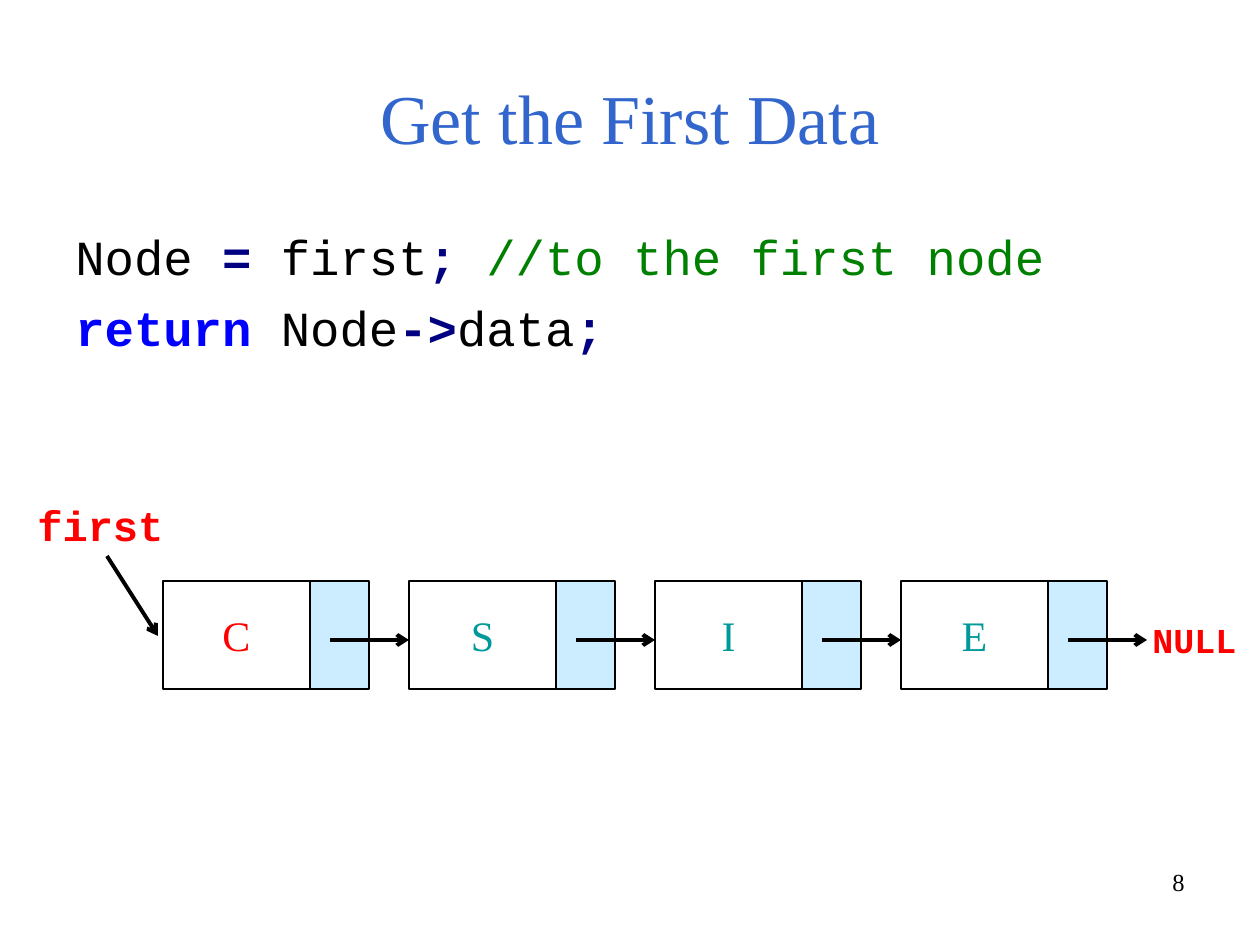
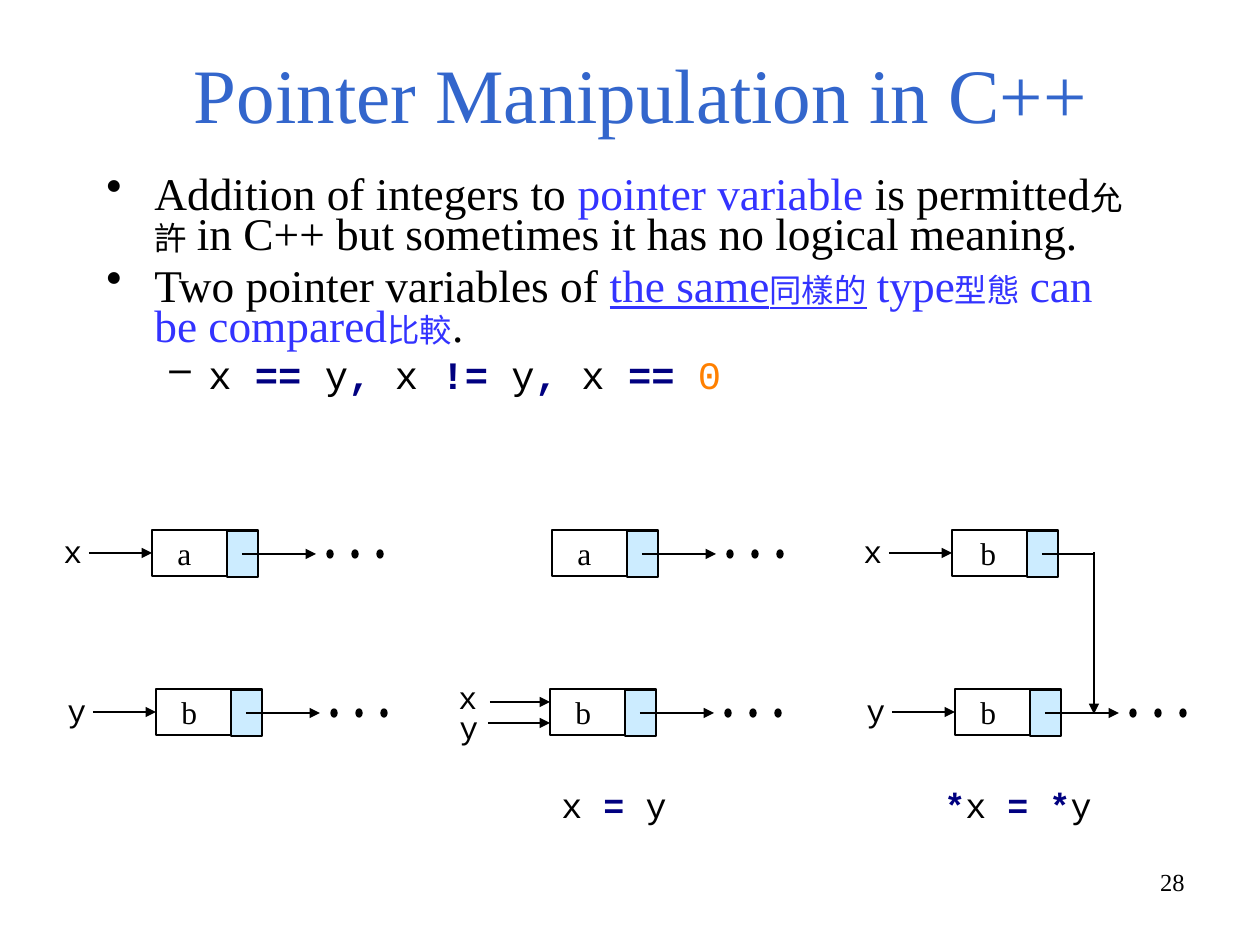
"""Build two slides on linked lists and pointers."""
from lxml import etree
from pptx import Presentation
from pptx.dml.color import RGBColor
from pptx.enum.shapes import MSO_CONNECTOR, MSO_SHAPE
from pptx.enum.text import MSO_ANCHOR, PP_ALIGN
from pptx.oxml.ns import qn
from pptx.util import Emu, Pt

BLACK = RGBColor(0, 0, 0)
WHITE = RGBColor(255, 255, 255)
TITLE = RGBColor(0x33, 0x66, 0xCC)
SKY = RGBColor(0xCC, 0xEC, 0xFF)
RED = RGBColor(255, 0, 0)
TEAL = RGBColor(0, 0x99, 0x99)
NAVY = RGBColor(0, 0, 0x80)
GREEN = RGBColor(0, 0x80, 0)
BLUE = RGBColor(0, 0, 255)
VIOLET = RGBColor(0x33, 0x33, 0xFF)
ORANGE = RGBColor(255, 0x80, 0)
SERIF, MONO = "Times New Roman", "Courier New"

OP = {"color": NAVY, "bold": True}
KEY = {"color": BLUE, "bold": True}
NOTE = {"color": GREEN}
NUM = {"color": ORANGE}
MARK = {"color": VIOLET}
HAN = {"size": 18.5}
HANMARK = {**MARK, **HAN}
UNDER = {"underline": True}

CODE = [
    ["Node ", ("=", OP), " first", ("; ", OP), ("//to the first node", NOTE)],
    [("return", KEY), " Node", ("->", OP), "data", (";", OP)],
]
NODES = [("C", RED), ("S", TEAL), ("I", TEAL), ("E", TEAL)]

POINTS = [
    ["Addition of integers to ", ("pointer variable", MARK), " is permitted",
     ("允許", HAN), " in C++ but sometimes it has no logical meaning."],
    ["Two pointer variables of ", ("the same", {**MARK, **UNDER}),
     ("同樣的", {**HANMARK, **UNDER}), (" type", MARK), ("型態", HANMARK),
     " ", ("can be compared", MARK), ("比較", HANMARK), "."],
]
TESTS = ["x ", ("==", OP), " y", (",", OP), " x ", ("!=", OP), " y",
         (",", OP), " x ", ("== ", OP), ("0", NUM)]
BULLET = {"mark": "•", "indent": (48, 48), "before": 7}
DASH = {"mark": "–", "indent": (102, 39), "before": 7,
        "font": MONO, "size": 22.2}

CELLS = [
    {"at": (152, 530), "data": "a", "name": "x"},
    {"at": (156, 689), "data": "b", "name": "y"},
    {"at": (552, 530), "data": "a"},
    {"at": (550, 689), "data": "b"},
    {"at": (952, 530), "data": "b", "name": "x", "next": False},
    {"at": (955, 689), "data": "b", "name": "y"},
]
SHARED = [("x", 446, 672, 490, 702), ("y", 447, 702, 488, 723)]
NOTES = [
    ((549, 777, 160, 55), ["x ", ("=", OP), " y"]),
    ((932, 777, 203, 55), [("*", OP), "x ", ("= *", OP), "y"]),
]


def px(num):
    return Emu(round(num * 914400 / 126))


def style(run, font=SERIF, size=18, color=BLACK, bold=False, underline=False):
    face = run.font
    face.name, face.size, face.bold = font, Pt(size), bold
    face.underline = underline
    face.color.rgb = color


def bullet(para, mark, indent):
    props = para._p.get_or_add_pPr()
    left, hang = indent
    props.set("marL", str(px(left)))
    props.set("indent", str(-px(hang)))
    tint = etree.SubElement(props, qn("a:buClr"))
    etree.SubElement(tint, qn("a:srgbClr")).set("val", str(BLACK))
    etree.SubElement(props, qn("a:buChar")).set("char", mark)


def write(frame, rows, align=PP_ALIGN.LEFT, anchor=MSO_ANCHOR.TOP, wrap=True,
          before=0, lead=None, marks=None, **look):
    """Fill a frame with rows of plain or styled runs."""
    frame.word_wrap, frame.vertical_anchor = wrap, anchor
    for i, row in enumerate(rows):
        para = frame.paragraphs[0] if i == 0 else frame.add_paragraph()
        para.alignment = align
        kind = dict(marks[i]) if marks else {}
        gap = kind.pop("before", before)
        if marks:
            bullet(para, kind.pop("mark"), kind.pop("indent"))
        para.space_before = Pt(gap if i else 0)
        if lead:
            para.line_spacing = lead
        for part in row:
            words, extra = (part, {}) if isinstance(part, str) else part
            run = para.add_run()
            run.text = words
            style(run, **{**look, **kind, **extra})


def text(slide, box, rows, **form):
    area = slide.shapes.add_textbox(*map(px, box))
    write(area.text_frame, rows, **form)


def shape(slide, kind, box, fill, width=0.75):
    item = slide.shapes.add_shape(kind, *map(px, box))
    item.shadow.inherit = False
    if fill is None:
        item.fill.background()
    else:
        item.fill.solid()
        item.fill.fore_color.rgb = fill
    item.line.color.rgb = BLACK
    item.line.width = Pt(width)
    return item


def line(slide, start, end, width=0.75, head="triangle"):
    link = slide.shapes.add_connector(
        MSO_CONNECTOR.STRAIGHT, *map(px, (*start, *end)))
    link.line.color.rgb = BLACK
    link.line.width = Pt(width)
    props = link._element.spPr
    if head:
        stroke = props.find(qn("a:ln"))
        etree.SubElement(stroke, qn("a:tailEnd")).set("type", head)
    etree.SubElement(props, qn("a:effectLst"))
    return link


def start(deck, title, box, size, anchor, page):
    slide = deck.slides.add_slide(deck.slide_layouts[6])
    text(slide, box, [[title]], size=size, color=TITLE,
         align=PP_ALIGN.CENTER, anchor=anchor)
    text(slide, (903, 861, 294, 66), [[page]], size=14, align=PP_ALIGN.RIGHT)
    return slide


def node(slide, left, data, color):
    top, wide, high = 581, 147, 108
    shape(slide, MSO_SHAPE.RECTANGLE, (left + wide, top, 59, high), SKY, 1)
    box = shape(slide, MSO_SHAPE.RECTANGLE, (left, top, wide, high), None, 1)
    write(box.text_frame, [[data]], size=24, color=color, wrap=False,
          align=PP_ALIGN.CENTER, anchor=MSO_ANCHOR.MIDDLE)
    line(slide, (left + 167, 640), (left + 246, 640), 2.25, "arrow")


def label(slide, name, left, top):
    text(slide, (left, top, 44, 50), [[name]], font=MONO)


def cell(slide, at, data, name=None, next=True):
    left, top = at
    box = shape(slide, MSO_SHAPE.RECTANGLE, (left, top, 106, 46), WHITE)
    shape(slide, MSO_SHAPE.RECTANGLE, (left + 75, top + 1, 31, 46), SKY)
    shift = 13 if next else 16
    text(slide, (left + shift, top - 2, 40, 50), [[data]], wrap=False)
    mid = top + 24
    if next:
        line(slide, (left + 90, mid), (left + 164, mid))
        for i in range(3):
            dot = (left + 175 + 25 * i, top + 20, 6, 8)
            shape(slide, MSO_SHAPE.OVAL, dot, BLACK)
    else:
        turn = left + 142
        line(slide, (left + 90, mid), (turn, mid), head=None)
        line(slide, (turn, mid - 2), (turn, mid + 160))
    if name:
        label(slide, name, left - 101, top - 4)
        link = line(slide, (left - 63, top + 23), (left, top + 23))
        link.end_connect(box, 1)


def first(deck):
    slide = start(deck, "Get the First Data", (63, 38, 1134, 157), 40,
                  MSO_ANCHOR.MIDDLE, "8")
    text(slide, (63, 220, 1134, 624), CODE, font=MONO, size=28, before=7)
    for i, (data, color) in enumerate(NODES):
        node(slide, 163 + 246 * i, data, color)
    red = {"font": MONO, "color": RED, "bold": True}
    text(slide, (1140, 612, 120, 55), [["NULL"]], size=20, **red)
    text(slide, (25, 493, 164, 63), [["first"]], size=24, **red)
    line(slide, (107, 556), (158, 636), 2.25, "arrow")


def second(deck):
    slide = start(deck, "Pointer Manipulation in C++", (94, 47, 1094, 98), 44,
                  MSO_ANCHOR.BOTTOM, "28")
    text(slide, (94, 173, 1061, 267), POINTS + [TESTS], size=25.9, lead=0.73,
         marks=[BULLET, BULLET, DASH])
    for item in CELLS:
        cell(slide, **item)
    for name, left, top, tail, mid in SHARED:
        label(slide, name, left, top)
        line(slide, (tail, mid), (550, mid))
    for box, row in NOTES:
        text(slide, box, [row], font=MONO, size=20)


def main():
    deck = Presentation()
    deck.slide_width, deck.slide_height = px(1260), px(945)
    first(deck)
    second(deck)
    deck.save("out.pptx")


if __name__ == "__main__":
    main()
